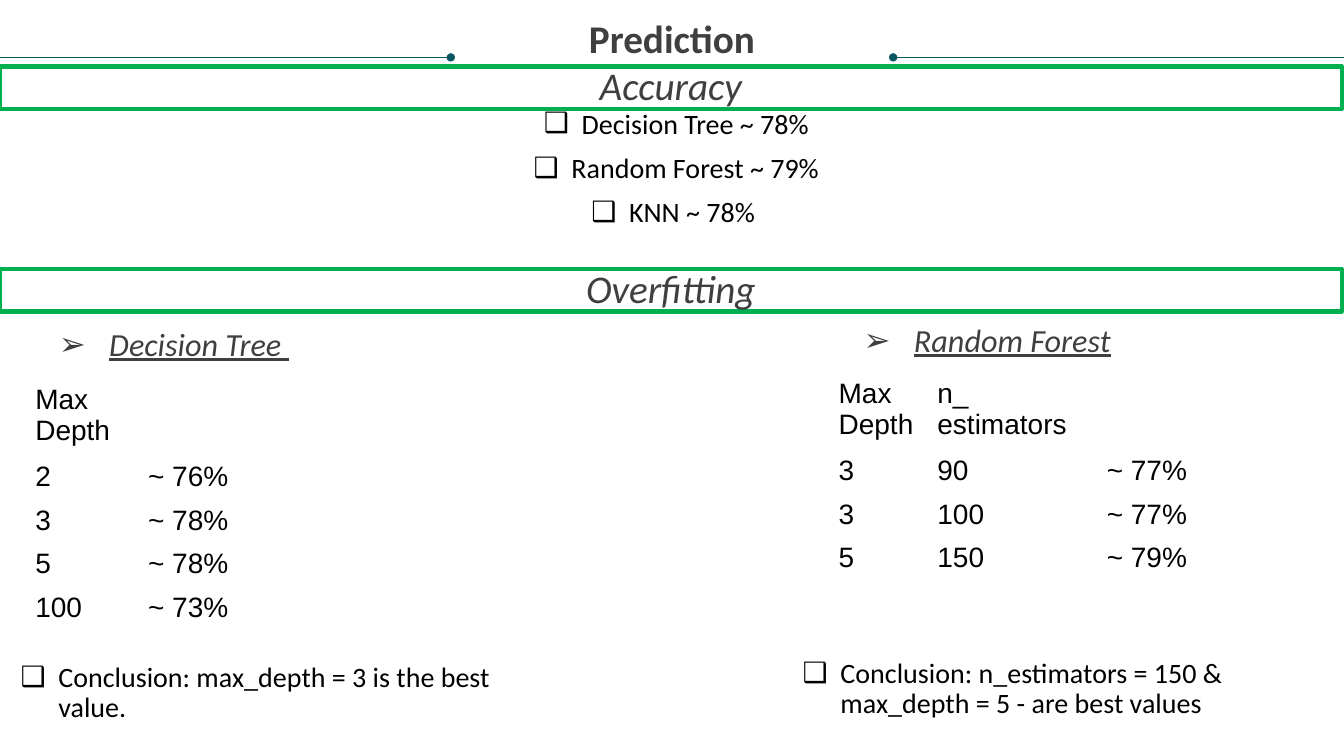
from lxml.etree import SubElement
from pptx import Presentation
from pptx.dml.color import RGBColor
from pptx.enum.shapes import MSO_CONNECTOR, MSO_SHAPE
from pptx.enum.text import MSO_ANCHOR as Anchor, MSO_AUTO_SIZE, PP_ALIGN as Align
from pptx.oxml.ns import qn
from pptx.util import Pt

COLORS = {"line": "085763", "heading": "3F3F3F", "text": "000000", "frame": "00B050"}
TITLE = {"size": Pt(28), "bold": True}
BAR = {"size": Pt(28), "italic": True}
SUBHEAD = {"size": Pt(23), "italic": True, "underline": True}
BODY = {"size": Pt(20)}


def write_text(shape, lines, font, color, align, anchor=Anchor.TOP,
               margins=(0, 0), bullet=None, indent=(0, 0), space=0):
    frame = shape.text_frame
    frame.text = "\n".join(lines)
    frame.word_wrap = True
    frame.auto_size = MSO_AUTO_SIZE.NONE
    frame.vertical_anchor = anchor
    frame.margin_left = frame.margin_right = Pt(margins[0])
    frame.margin_top = frame.margin_bottom = Pt(margins[1])
    for paragraph in frame.paragraphs:
        paragraph.alignment = align
        paragraph.line_spacing = 0.9
        paragraph.space_before = Pt(space)
        run_font = paragraph.runs[0].font
        run_font.name = "Calibri"
        run_font.color.rgb = RGBColor.from_string(COLORS[color])
        for name, value in font.items():
            setattr(run_font, name, value)
        if bullet:
            properties = paragraph._p.get_or_add_pPr()
            properties.set("marL", str(Pt(indent[0])))
            properties.set("indent", str(Pt(indent[1])))
            bullet_color = SubElement(properties, qn("a:buClr"))
            SubElement(bullet_color, qn("a:srgbClr"), val=COLORS[color])
            SubElement(properties, qn("a:buFont"), typeface="Arial")
            SubElement(properties, qn("a:buChar"), char=bullet)


presentation = Presentation()
presentation.slide_width, presentation.slide_height = Pt(960), Pt(540)
slide = presentation.slides.add_slide(presentation.slide_layouts[5])
shapes = slide.shapes

# Title
title = shapes.title
title.left, title.top, title.width, title.height = Pt(18), Pt(13.7), Pt(924), Pt(61.2)
write_text(title, ["Prediction"], TITLE, "heading", Align.CENTER)

# Rules on both sides of the title, each starting at its dot
for dot, edge in ((322, 0), (638, 960)):
    rule = shapes.add_connector(MSO_CONNECTOR.STRAIGHT, Pt(dot), Pt(41), Pt(edge), Pt(41))
    rule.line.color.rgb = RGBColor.from_string(COLORS["line"])
    rule.line.width = Pt(0.75)
    SubElement(rule.line._get_or_add_ln(), qn("a:headEnd"), type="oval")
    SubElement(rule._element.spPr, qn("a:effectLst"))

# Section bars
for label, top in (("Accuracy", 47.5), ("Overfitting", 192.2)):
    bar = shapes.add_shape(MSO_SHAPE.RECTANGLE, Pt(0), Pt(top), Pt(958.4), Pt(30.4))
    bar.shadow.inherit = False
    bar.fill.background()
    bar.line.color.rgb = RGBColor.from_string(COLORS["frame"])
    bar.line.width = Pt(3)
    write_text(bar, [label], BAR, "heading", Align.CENTER, Anchor.MIDDLE)

# Accuracy list and the two conclusions
body_texts = [
    ((-1.4, 75, 960, 111), Align.CENTER,
     ["Decision Tree ~ 78%", "Random Forest ~ 79%", "KNN ~ 78% "]),
    ((-1.4, 470.2, 377.3, 68.4), Align.LEFT,
     ["Conclusion: max_depth = 3 is the best value."]),
    ((557.3, 467.3, 377.3, 68.4), Align.LEFT,
     ["Conclusion: n_estimators = 150 & max_depth = 5 - are best values"]),
]
for bounds, align, lines in body_texts:
    box = shapes.add_textbox(*map(Pt, bounds))
    write_text(box, lines, BODY, "text", align, margins=(7.2, 3.6),
               bullet="❑", indent=(36, -27), space=10)

# Model headings
for label, bounds in (("Decision Tree ", (32.4, 234.7, 183.6, 25.2)),
                      ("Random Forest", (591.8, 231.8, 226.8, 25.2))):
    box = shapes.add_textbox(*map(Pt, bounds))
    write_text(box, [label], SUBHEAD, "heading", Align.CENTER,
               bullet="➢", indent=(36, -36))

# Result tables
tables = [
    (18, 270.7, (80.6, 176.4),
     [("Max Depth", ""), ("2", "~ 76%"), ("3", "~ 78%"), ("5", "~ 78%"), ("100", "~ 73%")]),
    (591.8, 266.4, (70.6, 121, 85),
     [("Max Depth", "n_ estimators", ""), ("3", "90", "~ 77%"),
      ("3", "100", "~ 77%"), ("5", "150", "~ 79%")]),
]
HEADER_HEIGHT, ROW_HEIGHT = 55, 31.2
for left, top, widths, rows in tables:
    height = HEADER_HEIGHT + ROW_HEIGHT * (len(rows) - 1)
    table = shapes.add_table(len(rows), len(widths), Pt(left), Pt(top),
                             Pt(sum(widths)), Pt(height)).table
    table.first_row = table.horz_banding = False
    for column, width in zip(table.columns, widths):
        column.width = Pt(width)
    for index, values in enumerate(rows):
        table.rows[index].height = Pt(ROW_HEIGHT if index else HEADER_HEIGHT)
        for cell, value in zip(table.rows[index].cells, values):
            cell.fill.background()
            cell.text = value
            font = cell.text_frame.paragraphs[0].font
            if value:
                font = cell.text_frame.paragraphs[0].runs[0].font
            font.name, font.size = "Arial", Pt(20)
            font.color.rgb = RGBColor.from_string(COLORS["text"])

presentation.save("out.pptx")
